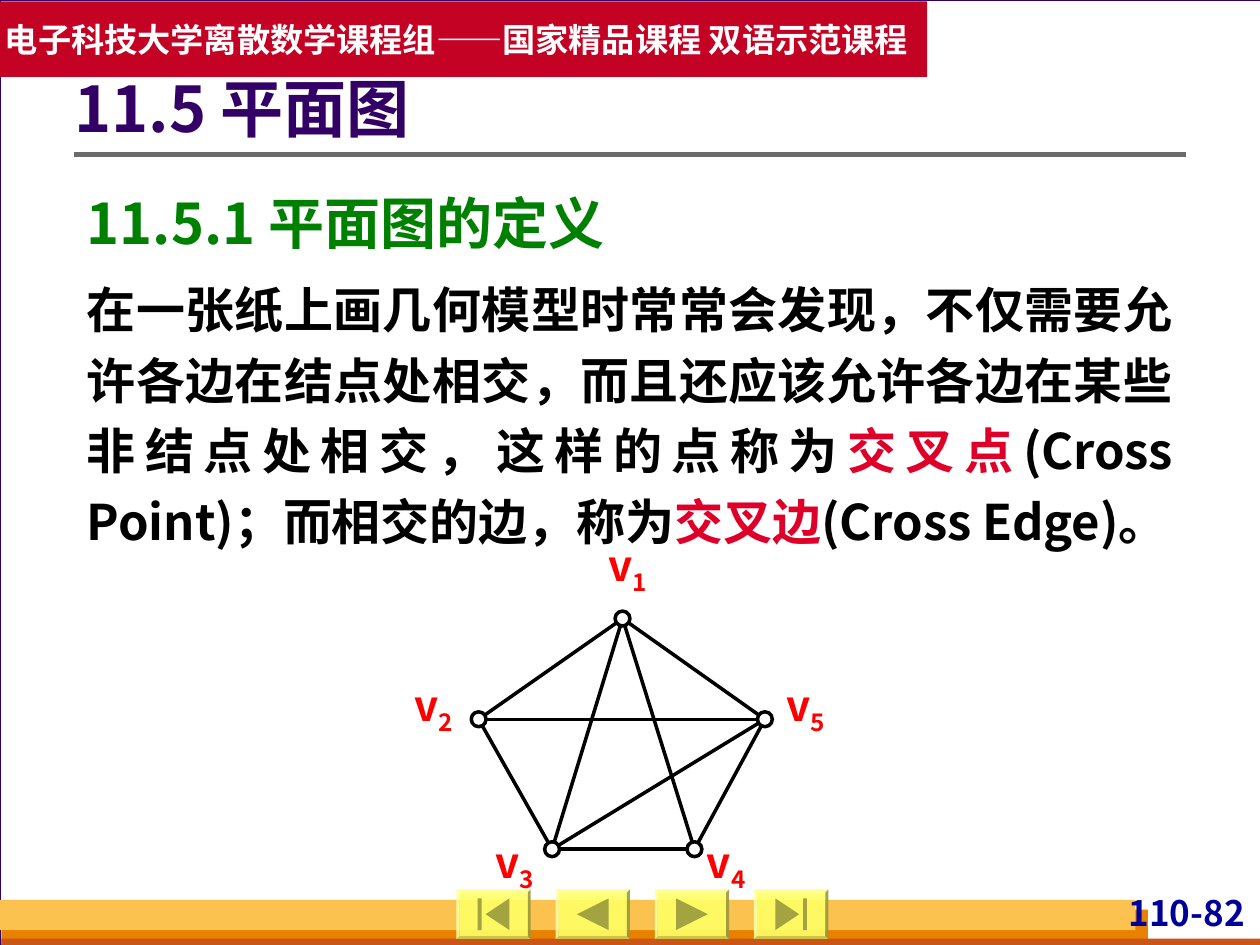
from lxml.etree import SubElement
from pptx import Presentation
from pptx.dml.color import RGBColor
from pptx.enum.shapes import MSO_CONNECTOR, MSO_SHAPE
from pptx.enum.text import MSO_ANCHOR, MSO_AUTO_SIZE, PP_ALIGN
from pptx.oxml.ns import qn
from pptx.util import Cm, Pt

FONT = "Noto Sans CJK SC"
COLORS = {
    "white": "FFFFFF", "black": "000000", "backdrop": "D8DADA",
    "purple": "330066", "orange": "E88000", "rust": "C95616",
    "amber": "FCC24F", "navy": "000099", "gray": "6B6B6B",
    "yellow": "FFFF66", "olive": "A3A341", "banner": "C30224",
    "green": "008000", "crimson": "DF0029", "red": "FF0000",
}


def rgb(name):
    return RGBColor.from_string(COLORS[name])


def set_frame(box, insets=(0, 0, 0, 0), **formats):
    """Set the insets (left, top, right, bottom in cm) and other frame values."""
    frame = box.text_frame
    sides = ("left", "top", "right", "bottom")
    values = {f"margin_{side}": Cm(inset) for side, inset in zip(sides, insets)}
    values |= {"word_wrap": True, "auto_size": MSO_AUTO_SIZE.NONE} | formats
    for name, value in values.items():
        setattr(frame, name, value)
    return frame


def add_span(para, text, size, color, baseline=None):
    span = para.add_run()
    span.text = text
    for name, value in {"size": Pt(size), "bold": True, "name": FONT}.items():
        setattr(span.font, name, value)
    span.font.color.rgb = rgb(color)
    properties = span._r.get_or_add_rPr()
    SubElement(properties, qn("a:ea")).set("typeface", FONT)
    if baseline:
        properties.set("baseline", str(baseline))


def style_shape(shape, fill, line=None, width=0.75):
    shape.shadow.inherit = False
    shape.fill.solid()
    shape.fill.fore_color.rgb = rgb(fill)
    if line:
        shape.line.color.rgb = rgb(line)
        shape.line.width = Pt(width)
    else:
        shape.line.fill.background()
    return shape


def add_block(shapes, kind, box, fill, line=None, width=0.75):
    shape = shapes.add_shape(kind, *map(Cm, box))
    return style_shape(shape, fill, line, width)


def add_line(shapes, start, end, color, width):
    line = shapes.add_connector(MSO_CONNECTOR.STRAIGHT, *map(Cm, start + end))
    line.line.color.rgb = rgb(color)
    line.line.width = Pt(width)
    SubElement(line._element.spPr, qn("a:effectLst"))


def add_backdrop(page):
    page.background.fill.solid()
    page.background.fill.fore_color.rgb = rgb("backdrop")
    for box, fill, line in (
        ((0, 0, 25.43, 19.05), "white", "purple"),
        ((0.03, 18.34, 23.11, 0.71), "orange", None),
        ((0.03, 18.92, 25.37, 0.13), "rust", None),
        ((0, 18.14, 22.89, 0.61), "amber", None),
    ):
        add_block(page.shapes, MSO_SHAPE.RECTANGLE, box, fill, line)
    add_line(page.shapes, (1.5, 3.12), (23.9, 3.12), "gray", 3)


def add_page_number(page, box):
    number = page.shapes.add_textbox(*map(Cm, box))
    para = set_frame(number, (0.1, 0, 0.1, 0)).paragraphs[0]
    para.alignment = PP_ALIGN.RIGHT
    add_span(para, "110-82", 20, "navy")


def add_button(page, box, direction, to_end):
    """Draw a bevelled button whose arrow points left (-1) or right (1)."""
    left, top, width, height = box
    shapes = page.shapes
    button = add_block(shapes, MSO_SHAPE.BEVEL, box, "yellow")
    button.adjustments[0] = 0.06
    color = button._element.spPr.find(qn("a:solidFill"))[0]
    SubElement(color, qn("a:alpha")).set("val", "90000")

    center, middle, half = left + width / 2, top + height / 2, 0.32
    tip = center + direction * (0.16 if to_end else half)
    tail = center - direction * half
    arrow = shapes.build_freeform(Cm(tip), Cm(middle))
    arrow.add_line_segments(
        [(Cm(tail), Cm(middle - half)), (Cm(tail), Cm(middle + half))])
    style_shape(arrow.convert_to_shape(), "olive")
    if to_end:
        bar = (center + direction * 0.28 - 0.04, middle - half, 0.08, 2 * half)
        add_block(shapes, MSO_SHAPE.RECTANGLE, bar, "olive")


def add_navigation(page, left, top):
    for index, (direction, to_end) in enumerate(
            ((-1, True), (-1, False), (1, False), (1, True))):
        add_button(page, (left + 2 * index, top, 1.5, 1), direction, to_end)


def add_banner(page, box):
    banner = add_block(page.shapes, MSO_SHAPE.RECTANGLE, box, "banner")
    frame = set_frame(banner, (0.1, 0.13, 0.1, 0.13), word_wrap=False,
                      vertical_anchor=MSO_ANCHOR.MIDDLE)
    para = frame.paragraphs[0]
    para.alignment = PP_ALIGN.LEFT
    add_span(para, "电子科技大学离散数学课程组——国家精品课程 双语示范课程", 19, "white")


def place_title(page, box):
    title = page.shapes.title
    page.shapes._spTree.append(title._element)  # in front of the backdrop
    for name, value in zip(("left", "top", "width", "height"), box):
        setattr(title, name, Cm(value))
    frame = set_frame(title, (0, 0.13, 0.25, 0.13),
                      vertical_anchor=MSO_ANCHOR.MIDDLE)
    para = frame.paragraphs[0]
    para.alignment = PP_ALIGN.LEFT
    para.line_spacing = 0.9
    add_span(para, "11.5 平面图", 36, "purple")


def add_definition(page, box):
    body = page.shapes.add_textbox(*map(Cm, box))
    frame = set_frame(body, (0.25, 0.13, 0.25, 0.13))
    heading, definition = frame.paragraphs[0], frame.add_paragraph()
    for para in (heading, definition):
        para.alignment = PP_ALIGN.JUSTIFY
        para.line_spacing = 1.2
    definition.space_before = Pt(7)
    add_span(heading, "11.5.1 平面图的定义", 32, "green")
    for text, color in (
        ("在一张纸上画几何模型时常常会发现，不仅需要允许各边在结点处相交，"
         "而且还应该允许各边在某些非结点处相交，这样的点称为", "black"),
        ("交叉点", "crimson"),
        ("(Cross Point)；而相交的边，称为", "black"),
        ("交叉边", "crimson"),
        ("(Cross Edge)。", "black"),
    ):
        add_span(definition, text, 28, color)


def add_graph(page, left, top):
    """Draw the five-vertex graph with its labels as one group."""
    shapes = page.shapes.add_group_shape().shapes
    centers = {1: (4.19, 1.6), 2: (1.29, 3.63), 3: (2.77, 6.25),
               4: (5.64, 6.25), 5: (7.06, 3.63)}
    labels = {1: (3.91, 0), 2: (0, 2.82), 3: (1.63, 5.99),
              4: (5.89, 5.99), 5: (7.49, 2.82)}
    edges = ((2, 5), (1, 3), (1, 4), (5, 3), (1, 2),
             (5, 4), (3, 4), (1, 5), (2, 3))
    vertices = {key: (left + x, top + y) for key, (x, y) in centers.items()}
    for start, end in edges:
        add_line(shapes, vertices[start], vertices[end], "black", 2)
    for key, (x, y) in labels.items():
        label = shapes.add_textbox(Cm(left + x), Cm(top + y), Cm(1.19), Cm(1.17))
        para = set_frame(label).paragraphs[0]
        para.alignment = PP_ALIGN.JUSTIFY
        add_span(para, "v", 24, "red")
        add_span(para, str(key), 24, "red", baseline=-25000)
    radius = 0.15
    for x, y in vertices.values():
        box = (x - radius, y - radius, 2 * radius, 2 * radius)
        add_block(shapes, MSO_SHAPE.OVAL, box, "white", "black", 2)


def main():
    deck = Presentation()
    deck.slide_width, deck.slide_height = Cm(25.4), Cm(19.05)
    page = deck.slides.add_slide(deck.slide_layouts[5])
    add_backdrop(page)
    add_page_number(page, (22.1, 17.98, 3.1, 0.97))
    add_navigation(page, 9.2, 17.93)
    add_banner(page, (0, 0.03, 18.69, 1.52))
    place_title(page, (1.5, 0.97, 22.4, 2.57))
    add_definition(page, (1.5, 3.4, 22.4, 7.82))
    add_graph(page, 8.36, 10.87)
    deck.save("out.pptx")


if __name__ == "__main__":
    main()
